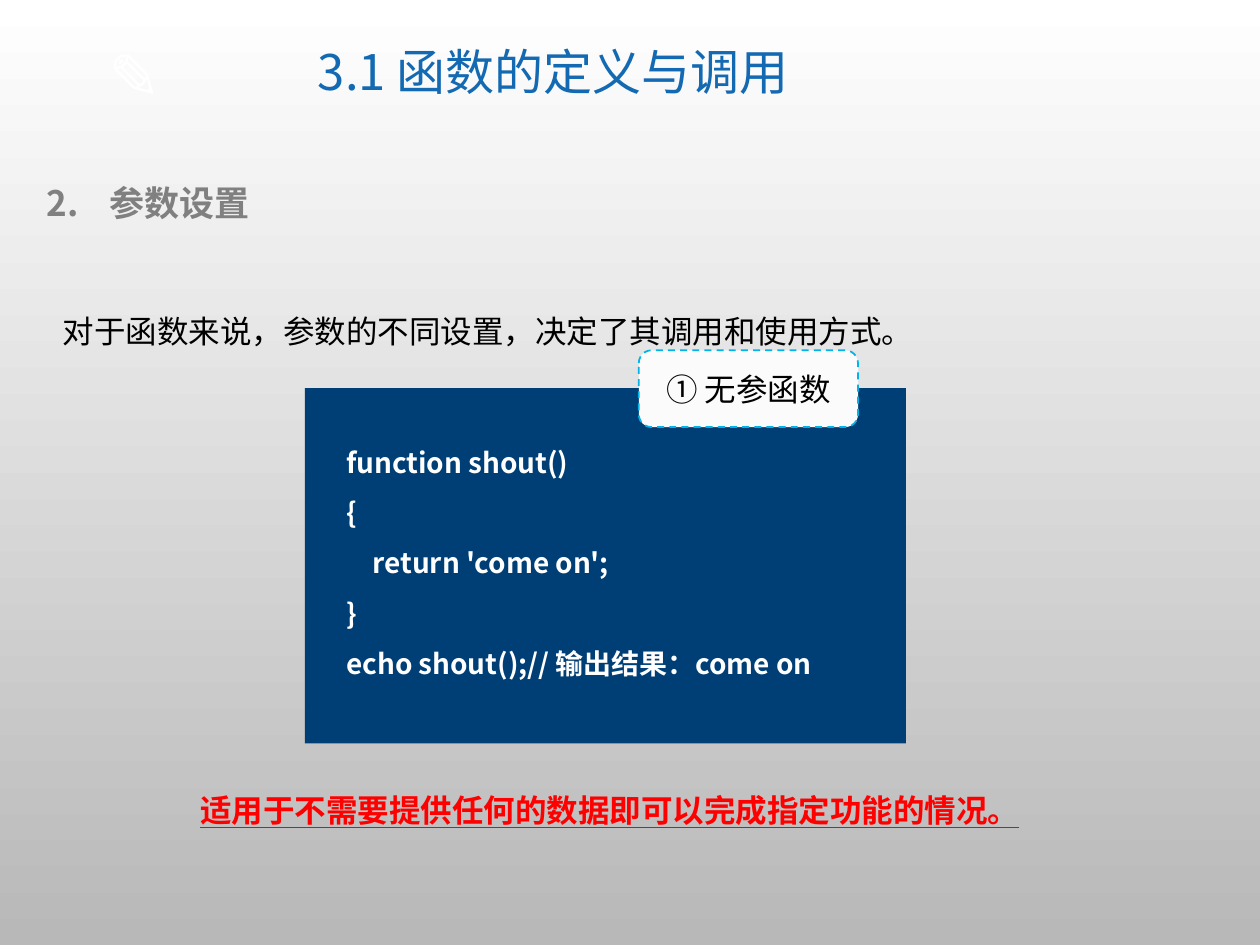
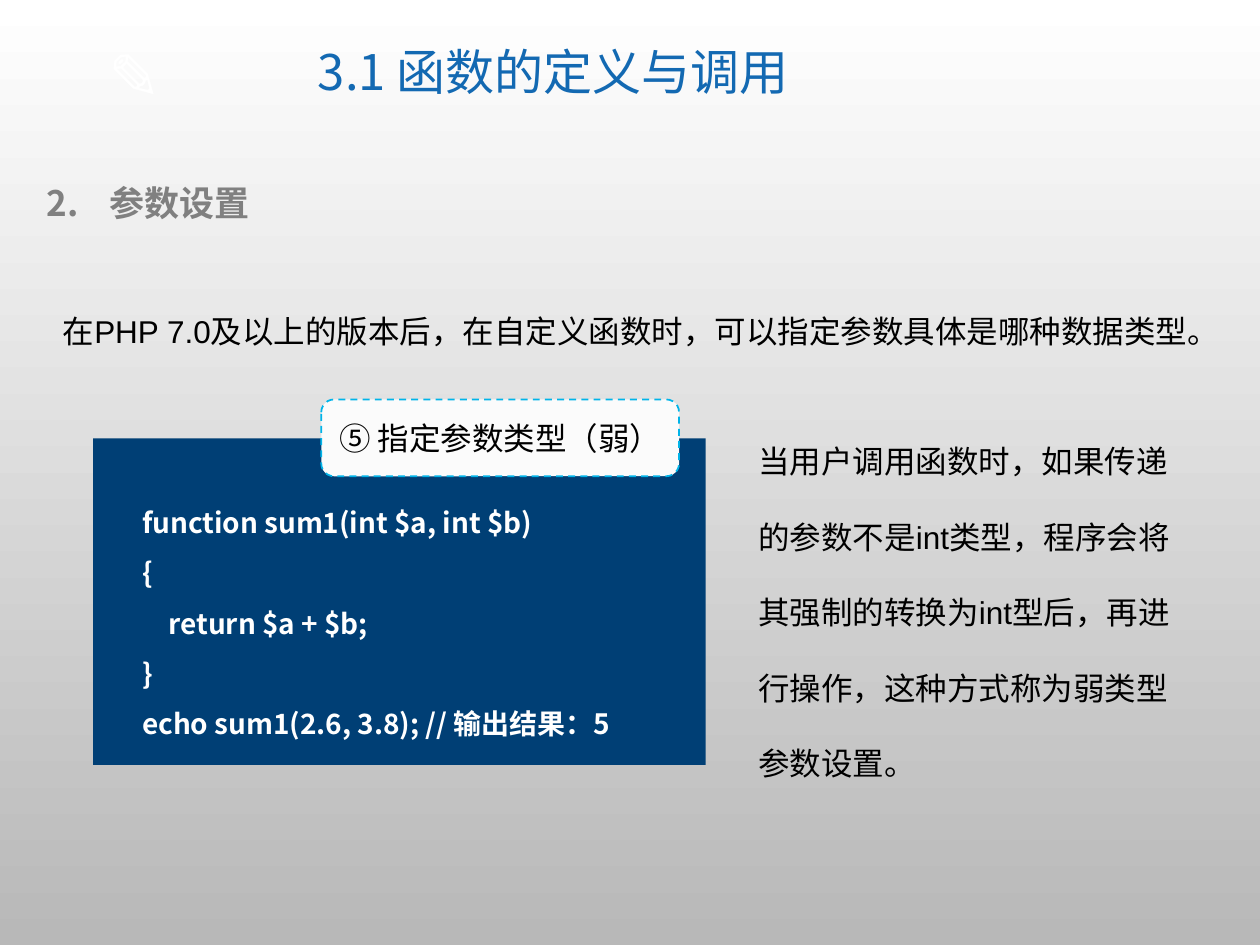
from lxml.etree import SubElement
from pptx import Presentation
from pptx.dml.color import RGBColor
from pptx.enum.dml import MSO_LINE
from pptx.enum.shapes import MSO_SHAPE
from pptx.enum.text import MSO_ANCHOR, PP_ALIGN
from pptx.oxml.ns import qn
from pptx.util import Inches, Pt

# The slide is a grid of 100 columns by 75 rows of equal size.
CELL = Inches(0.1)
COLUMNS, ROWS = 100, 75
SANS, BODY, LABEL = "Noto Sans CJK SC", "Arial", "Calibri"
WHITE, SHADE, BLACK, GRAY = "FFFFFF", "B8B8B8", "000000", "808080"
BLUE, NAVY, CYAN, PAPER, RED = "1369B2", "003F75", "00B4E9", "FBFBFB", "FF0000"


def color(value):
    return RGBColor.from_string(value)


def cells(*counts):
    return [round(count * CELL) for count in counts]


def add_span(para, text, size, font, ink, bold=False, underline=False):
    span = para.add_run()
    span.text = text
    span.font.size = Pt(size)
    span.font.name = font
    span.font.bold = bold
    span.font.underline = underline
    span.font.color.rgb = color(ink)
    SubElement(span.font._element, qn("a:ea")).set("typeface", SANS)


def indent(para, left, hanging=0):
    properties = para._p.get_or_add_pPr()
    properties.set("marL", str(round(left * CELL)))
    properties.set("indent", str(round(-hanging * CELL)))
    return properties


def add_text(shapes, area, text, size, font, ink, spacing=1, wrap=True, **style):
    box = shapes.add_textbox(*cells(*area))
    box.text_frame.word_wrap = wrap
    para = box.text_frame.paragraphs[0]
    para.line_spacing = spacing
    add_span(para, text, size, font, ink, **style)
    return para


def add_body(slide, area, text, ink=BLACK, **style):
    add_text(slide.shapes, area, text, 18, BODY, ink, spacing=2, **style)


def add_heading(slide, number, text):
    para = add_text(slide.shapes, (2.7, 13.9, 92.2, 4.4), text, 20, SANS, GRAY, bold=True)
    numbering = SubElement(indent(para, 5, hanging=5), qn("a:buAutoNum"))
    numbering.set("type", "arabicPeriod")
    numbering.set("startAt", str(number))


def add_panel(shapes, kind, area, fill):
    panel = shapes.add_shape(kind, *cells(*area))
    panel.shadow.inherit = False
    panel.fill.solid()
    panel.fill.fore_color.rgb = color(fill)
    panel.line.fill.background()
    return panel


def add_code(slide, panel_area, text_area, lines):
    """Dark panel with code; each line is a pair of indent and text."""
    group = slide.shapes.add_group_shape()
    add_panel(group.shapes, MSO_SHAPE.RECTANGLE, panel_area, NAVY)
    frame = group.shapes.add_textbox(*cells(*text_area)).text_frame
    frame.word_wrap = True
    for index, (depth, text) in enumerate(lines):
        para = frame.add_paragraph() if index else frame.paragraphs[0]
        para.line_spacing = 1.5
        indent(para, depth * 2.1)
        add_span(para, text, 16, SANS, WHITE, bold=True)


def add_tag(slide, area, text):
    tag = add_panel(slide.shapes, MSO_SHAPE.ROUNDED_RECTANGLE, area, PAPER)
    tag.line.color.rgb = color(CYAN)
    tag.line.width = Pt(1)
    tag.line.dash_style = MSO_LINE.DASH
    tag.text_frame.vertical_anchor = MSO_ANCHOR.MIDDLE
    para = tag.text_frame.paragraphs[0]
    para.alignment = PP_ALIGN.CENTER
    add_span(para, text, 18, LABEL, BLACK)


def set_background(master):
    fill = master.background.fill
    fill.gradient()
    fill.gradient_angle = 270
    for stop, shade, position in zip(fill.gradient_stops, (WHITE, SHADE), (0, 1)):
        stop.color.rgb = color(shade)
        stop.position = position


def add_page(deck):
    """Slide with the pencil mark, chapter title and section heading."""
    page = deck.slides.add_slide(deck.slide_layouts.get_by_name("Title Only"))
    add_text(page.shapes, (7.6, 2.4, 8.6, 7.1), "✎", 36, SANS, WHITE, wrap=False, bold=True)
    title = page.shapes.title
    title.left, title.top, title.width, title.height = cells(18.1, 1.7, 51.6, 8.5)
    title.text_frame.vertical_anchor = MSO_ANCHOR.MIDDLE
    para = title.text_frame.paragraphs[0]
    para.alignment = PP_ALIGN.CENTER
    para.line_spacing = 0.9
    add_span(para, "3.1 函数的定义与调用", 28, SANS, BLUE)
    add_heading(page, 2, "参数设置")
    return page


def add_no_parameter_page(deck):
    page = add_page(deck)
    add_body(page, (4, 21.3, 91.9, 6.1),
             "对于函数来说，参数的不同设置，决定了其调用和使用方式。")
    add_code(page, (24.2, 30.8, 47.7, 28.2), (26.5, 33.5, 45.4, 21.2), [
        (0, "function shout()"),
        (0, "{"),
        (1, "return 'come on';"),
        (0, "}"),
        (0, "echo shout();// 输出结果：come on"),
    ])
    add_body(page, (14.9, 59.3, 67.9, 6.1),
             "适用于不需要提供任何的数据即可以完成指定功能的情况。",
             RED, bold=True, underline=True)
    add_tag(page, (50.7, 27.8, 17.4, 6.1), "① 无参函数")


def add_weak_type_page(deck):
    page = add_page(deck)
    add_body(page, (4, 21.3, 94, 7.1),
             "在PHP 7.0及以上的版本后，在自定义函数时，可以指定参数具体是哪种数据类型。")
    add_code(page, (7.4, 34.8, 48.6, 25.9), (10.3, 38.3, 44.8, 21.2), [
        (0, "function sum1(int $a, int $b)"),
        (0, "{"),
        (1, "return $a + $b;"),
        (0, "}"),
        (0, "echo sum1(2.6, 3.8); // 输出结果：5"),
    ])
    add_tag(page, (25.5, 31.7, 28.4, 6.1), "⑤ 指定参数类型（弱）")
    add_body(page, (59.2, 31.6, 36.7, 31.3),
             "当用户调用函数时，如果传递的参数不是int类型，程序会将其强制的"
             "转换为int型后，再进行操作，这种方式称为弱类型参数设置。")


def main():
    deck = Presentation()
    deck.slide_width, deck.slide_height = cells(COLUMNS, ROWS)
    set_background(deck.slide_master)
    add_no_parameter_page(deck)
    add_weak_type_page(deck)
    deck.save("out.pptx")


if __name__ == "__main__":
    main()
